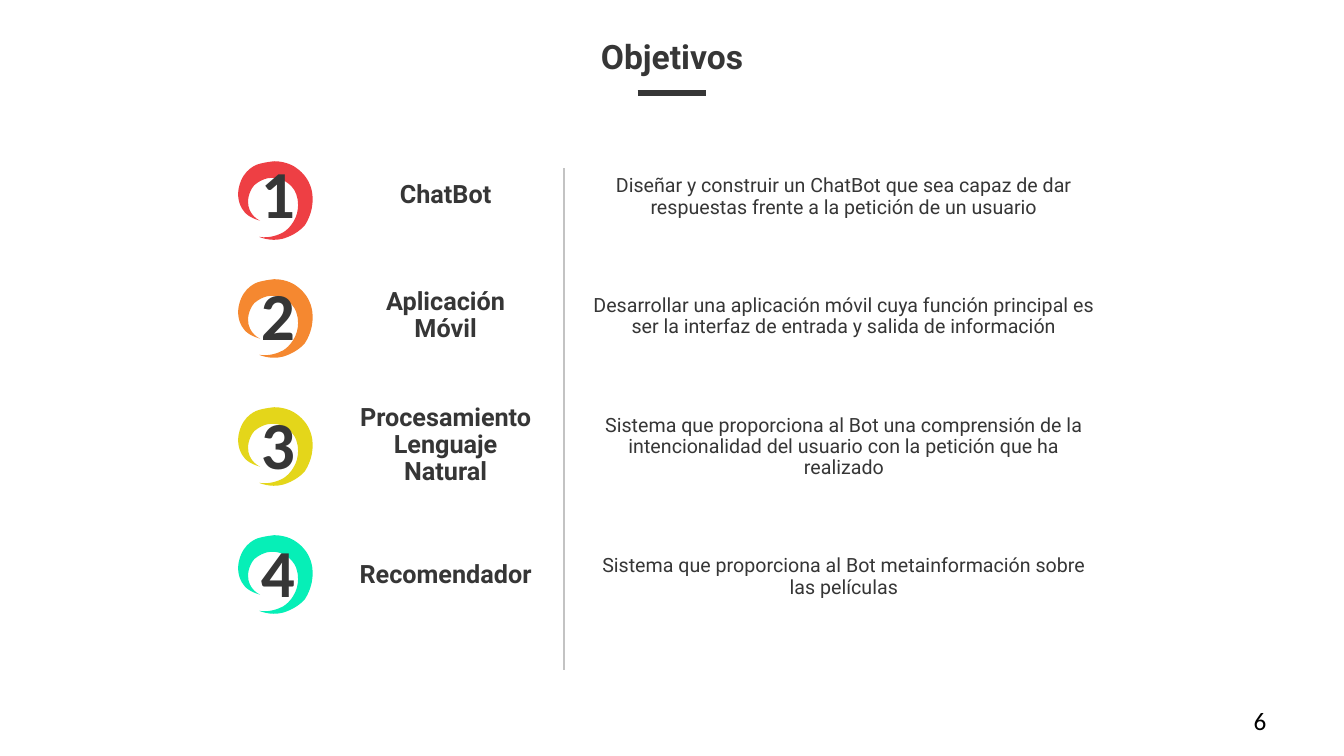
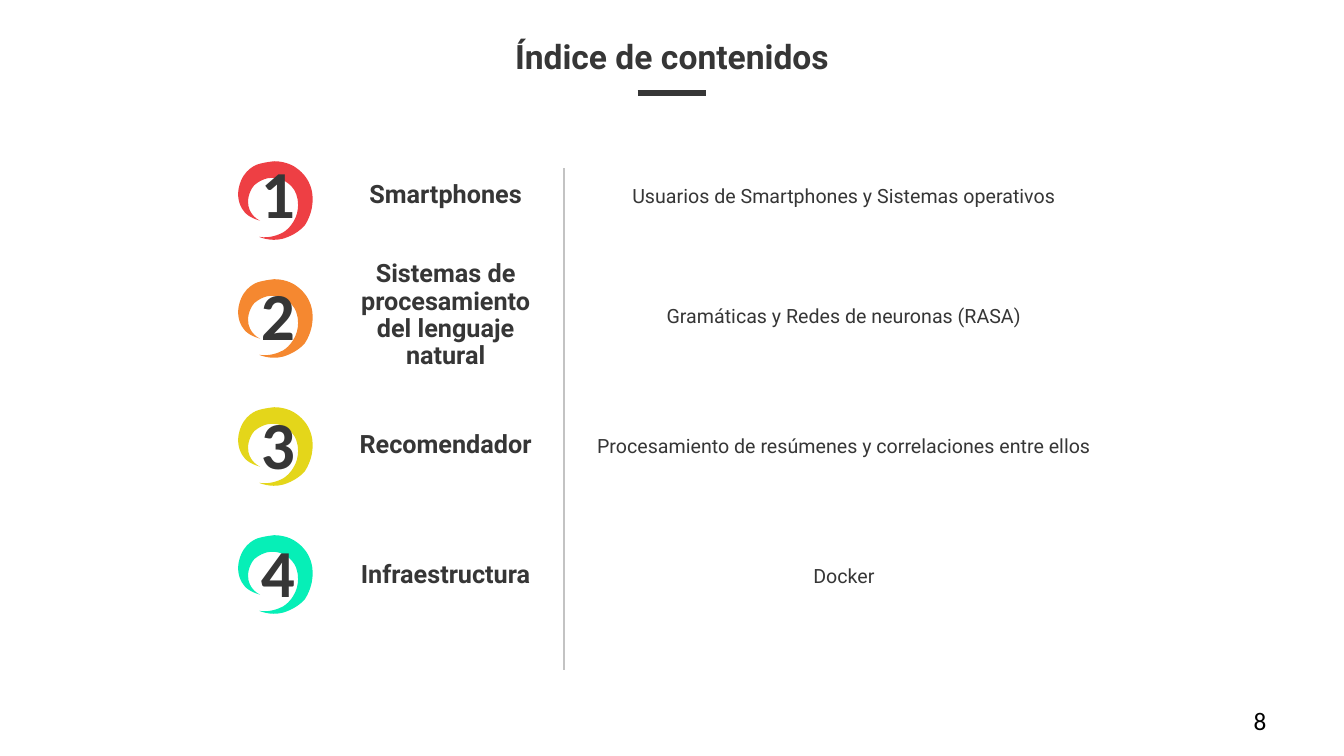
from pptx import Presentation
from pptx.dml.color import RGBColor
from pptx.enum.shapes import MSO_CONNECTOR as Connector
from pptx.enum.text import MSO_ANCHOR as Anchor, MSO_AUTO_SIZE as AutoSize, PP_ALIGN as Align
from pptx.oxml.ns import qn
from pptx.oxml.xmlchemy import OxmlElement
from pptx.util import Inches, Pt

# Shared look
INK = RGBColor(0x36, 0x36, 0x36)
BLACK = RGBColor(0, 0, 0)
GREY = RGBColor(0xC3, 0xC3, 0xC3)
RING_COLORS = (
    RGBColor(0xEE, 0x3F, 0x44),
    RGBColor(0xF5, 0x88, 0x30),
    RGBColor(0xE4, 0xD6, 0x1A),
    RGBColor(0x06, 0xEF, 0xB7),
)
HEAD_FONT, NUMBER_FONT = "Roboto", "Calibri"

# Grid in inches: boxes are left, top, width, height
WIDTH, HEIGHT = 13.33, 7.5
TITLE_BOX = (0.43, 0.35, 12.47, 0.47)
PAGE_NUMBER_BOX = (9.55, 6.95, 3.11, 0.4)
LIST_BOX = (2.33, 1.59, 8.65, 5.06)
ROW_TOPS = (0, 1.19, 2.48, 3.77)
RING_TOPS = (0.01, 1.18, 2.45, 3.72)
DIGIT_TOPS = (0.01, 1.22, 2.5, 3.77)
# Columns: left, width, height
DIGIT_COLUMN = (0.16, 0.45, 0.7)
NAME_COLUMN = (1.1, 1.98, 0.7)
DETAIL_COLUMN = (3.44, 5.2, 0.59)
DETAIL_DROP = 0.07
DIVIDER_COLUMN = 3.26

# Ring outline in hundredths of an inch: control point, end point
RING_START = (45, 72)
RING_CURVES = (
    ((53, 69), (58, 60)), ((65, 49), (62, 37)), ((60, 24), (48, 19)),
    ((41, 15), (32, 17)), ((24, 19), (19, 24)), ((13, 31), (13, 40)),
    ((13, 54), (25, 59)), ((14, 56), (10, 51)), ((0, 40), (4, 26)),
    ((8, 7), (23, 3)), ((29, 1), (39, 0)), ((52, 0), (60, 6)),
    ((78, 18), (77, 36)), ((78, 52), (69, 64)), ((60, 74), (47, 77)),
    ((35, 80), (24, 75)), ((35, 77), (45, 72)),
)


def write(box, text, *, size, font=HEAD_FONT, color=INK, bold=False,
          align=Align.CENTER, anchor=Anchor.MIDDLE, spacing=0.9):
    frame = box.text_frame
    frame.word_wrap = True
    frame.auto_size = AutoSize.NONE
    frame.vertical_anchor = anchor
    para = frame.paragraphs[0]
    para.alignment = align
    para.line_spacing = spacing
    para.space_before = Pt(0)
    span = para.add_run()
    span.text = text
    span.font.name, span.font.size = font, Pt(size)
    span.font.bold, span.font.color.rgb = bold, color


def add_text(page, box, text, **style):
    write(page.shapes.add_textbox(*map(Inches, box)), text, **style)


def add_rule(page, start, end, color, weight):
    rule = page.shapes.add_connector(
        Connector.STRAIGHT, *map(Inches, (*start, *end)))
    rule.line.color.rgb = color
    rule.line.width = Pt(weight)
    rule._element.spPr.append(OxmlElement("a:effectLst"))


def bend_segments(shape):
    """Turn each pair of straight segments into one curve: control, end, end."""
    segments = list(shape._element.iter(qn("a:lnTo")))
    for control, end in zip(segments[::2], segments[1::2]):
        curve = OxmlElement("a:cubicBezTo")
        control.addprevious(curve)
        curve.append(control[0])
        final = end[0]
        for _ in range(2):
            point = OxmlElement("a:pt")
            point.set("x", final.get("x"))
            point.set("y", final.get("y"))
            curve.append(point)
        for segment in (control, end):
            segment.getparent().remove(segment)


def add_ring(page, left, top, color):
    def scaled(point):
        return tuple(Inches(value / 100) for value in point)

    builder = page.shapes.build_freeform(*scaled(RING_START))
    # The last curve ends at the start, so the outline is closed already
    builder.add_line_segments(
        [scaled(point) for curve in RING_CURVES for point in curve], close=True)
    ring = builder.convert_to_shape(Inches(left), Inches(top))
    bend_segments(ring)
    ring.shadow.inherit = False
    ring.fill.solid()
    ring.fill.fore_color.rgb = color
    ring.line.fill.background()


def add_heading(page, box, text):
    title = page.shapes.title
    title.left, title.top, title.width, title.height = map(Inches, box)
    write(title, text, size=24, bold=True, anchor=Anchor.TOP)
    # Short bar centred under the title
    middle, bar_y, half = box[0] + box[2] / 2, box[1] + 0.57, 0.34
    add_rule(page, (middle - half, bar_y), (middle + half, bar_y), INK, 4.5)


def add_numbered_list(page, box, items):
    left, top, _, height = box

    def cell(column, offset):
        return left + column[0], top + offset, column[1], column[2]

    rows = zip(items, ROW_TOPS, RING_TOPS, DIGIT_TOPS, RING_COLORS)
    for number, ((name, detail), row, ring, digit, color) in enumerate(rows, 1):
        add_ring(page, left, top + ring, color)
        add_text(page, cell(DIGIT_COLUMN, digit), str(number),
                 size=48, font=NUMBER_FONT, bold=True)
        add_text(page, cell(NAME_COLUMN, row), name, size=18, bold=True)
        add_text(page, cell(DETAIL_COLUMN, row + DETAIL_DROP), detail, size=14)
    # Divider between names and details
    x = left + DIVIDER_COLUMN
    add_rule(page, (x, top + 0.08), (x, top + height), GREY, 1.5)


def add_list_page(deck, title, items, page_number):
    page = deck.slides.add_slide(deck.slide_layouts[5])
    add_heading(page, TITLE_BOX, title)
    add_numbered_list(page, LIST_BOX, items)
    add_text(page, PAGE_NUMBER_BOX, page_number, size=18, font=NUMBER_FONT,
             color=BLACK, align=Align.RIGHT, anchor=Anchor.TOP, spacing=1.0)


PAGES = (
    ("Objetivos", (
        ("ChatBot", "Diseñar y construir un ChatBot que sea capaz de dar "
                    "respuestas frente a la petición de un usuario"),
        ("Aplicación Móvil",
         "Desarrollar una aplicación móvil cuya función principal es "
         "ser la interfaz de entrada y salida de información"),
        ("Procesamiento Lenguaje Natural",
         "Sistema que proporciona al Bot una comprensión de la "
         "intencionalidad del usuario con la petición que ha realizado"),
        ("Recomendador",
         "Sistema que proporciona al Bot metainformación sobre las películas"),
    ), "6"),
    ("Índice de contenidos", (
        ("Smartphones", "Usuarios de Smartphones y Sistemas operativos"),
        ("Sistemas de procesamiento del lenguaje natural",
         "Gramáticas y Redes de neuronas (RASA)"),
        ("Recomendador",
         "Procesamiento de resúmenes y correlaciones entre ellos"),
        ("Infraestructura", "Docker"),
    ), "8"),
)


def main():
    deck = Presentation()
    deck.slide_width, deck.slide_height = Inches(WIDTH), Inches(HEIGHT)
    for title, items, page_number in PAGES:
        add_list_page(deck, title, items, page_number)
    deck.save("out.pptx")


if __name__ == "__main__":
    main()
